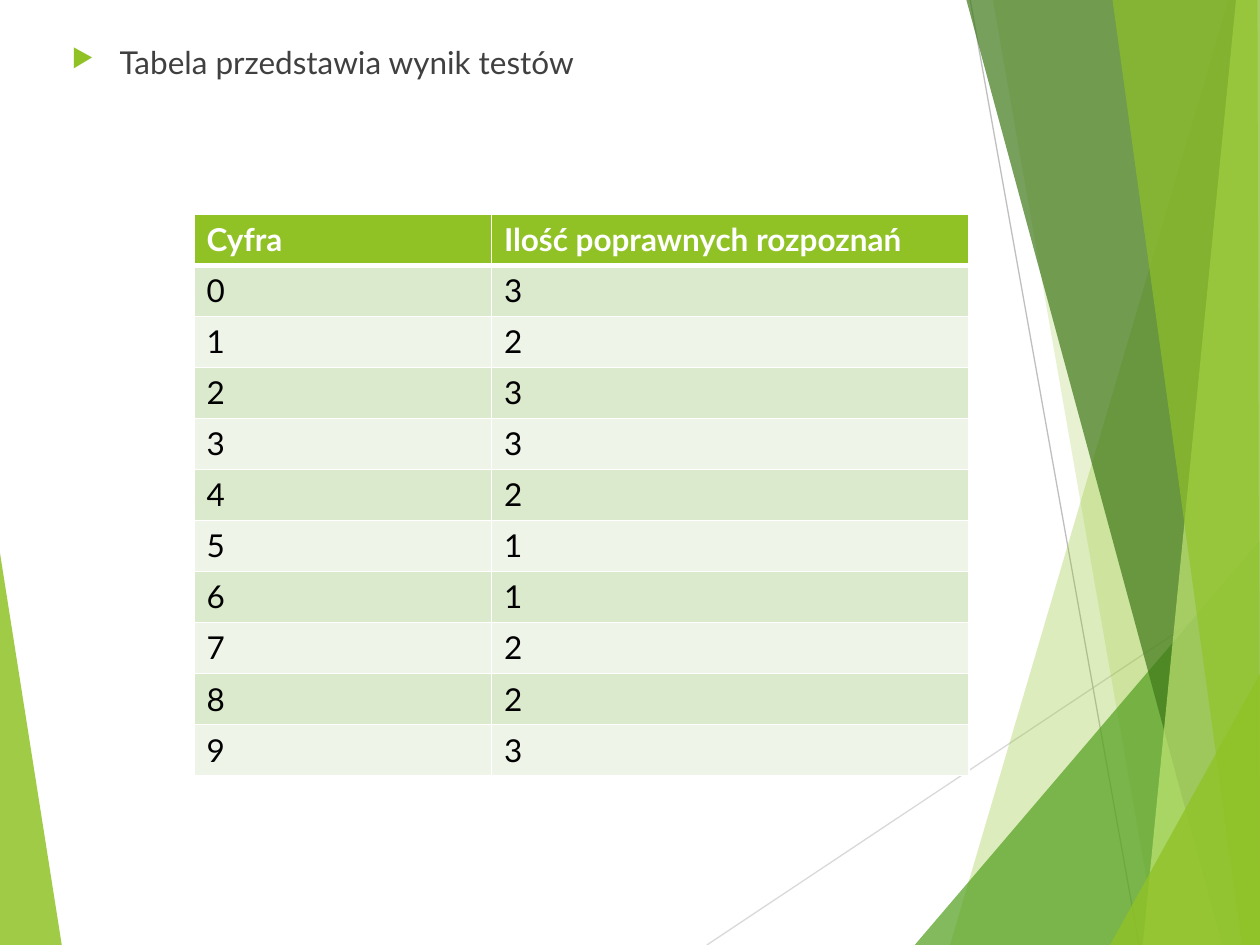
from lxml.etree import SubElement
from pptx import Presentation
from pptx.dml.color import RGBColor
from pptx.enum.shapes import MSO_CONNECTOR
from pptx.oxml.ns import qn
from pptx.util import Inches, Pt

COLORS = {
    "lime": "90C226", "green": "54A021", "forest": "3F7819", "pale": "C0E474",
    "light_line": "D9D9D9", "dark_line": "BFBFBF", "heading": "404040",
    "white": "FFFFFF", "black": "000000", "odd_row": "DBE9CD", "even_row": "EEF4E8",
}
FONT = "Lato"


def rgb(name):
    return RGBColor.from_string(COLORS[name])


def style_text(paragraph, color, bold=False):
    for run in paragraph.runs:
        run.font.name = FONT
        run.font.size = Pt(18)
        run.font.bold = bold
        run.font.color.rgb = rgb(color)


prs = Presentation()
prs.slide_width, prs.slide_height = Inches(10), Inches(7.5)
slide = prs.slides.add_slide(prs.slide_layouts[6])
shapes = slide.shapes

# Thin crossing lines behind the facets
for x1, y1, x2, y2, color in [
    (5.61, 7.5, 10.01, 4.57, "light_line"),
    (7.7, 0, 9.04, 7.5, "dark_line"),
]:
    ray = shapes.add_connector(
        MSO_CONNECTOR.STRAIGHT, Inches(x1), Inches(y1), Inches(x2), Inches(y2))
    ray.line.color.rgb = rgb(color)
    ray.line.width = Pt(0.75)
    SubElement(ray._element.spPr, qn("a:effectLst"))

# Translucent facets: colour, opacity in percent, corners
facets = [
    ("lime", 85, [(0, 4.39), (0.49, 7.5), (0, 7.5)]),
    ("lime", 30, [(9.75, 0), (7.54, 7.5), (10, 7.5), (10, 0)]),
    ("lime", 20, [(7.88, 0), (9.19, 7.5), (10, 7.5), (10, 0)]),
    ("green", 72, [(7.26, 7.5), (10, 4.29), (10, 7.5)]),
    ("forest", 70, [(7.67, 0), (9.7, 7.5), (10, 7.5), (10, 0)]),
    ("pale", 70, [(9.81, 0), (9.07, 7.5), (10, 7.5), (10, 0)]),
    ("lime", 65, [(8.83, 0), (9.86, 7.5), (10, 7.5), (9.98, 0)]),
    ("lime", 80, [(8.81, 7.5), (10, 5.35), (10, 7.5)]),
]
for color, opacity, corners in facets:
    start, *others = [(Inches(x), Inches(y)) for x, y in corners]
    builder = shapes.build_freeform(*start)
    builder.add_line_segments(others, close=True)
    facet = builder.convert_to_shape()
    facet.shadow.inherit = False
    facet.line.fill.background()
    facet.fill.solid()
    facet.fill.fore_color.rgb = rgb(color)
    tint = facet._element.spPr.find(qn("a:solidFill"))[0]
    SubElement(tint, qn("a:alpha"), val=str(opacity * 1000))

# Bulleted heading
heading = shapes.add_textbox(Inches(0.47), Inches(0.29), Inches(9.81), Inches(4.95))
heading.text_frame.word_wrap = True
bullet = heading.text_frame.paragraphs[0]
bullet.text = "Tabela przedstawia wynik testów"
bullet.space_before = Pt(10)
style_text(bullet, "heading")
props = bullet._p.get_or_add_pPr()
props.set("marL", str(Inches(0.38)))
props.set("indent", str(-Inches(0.38)))
SubElement(SubElement(props, qn("a:buClr")), qn("a:srgbClr"), val=COLORS["lime"])
SubElement(props, qn("a:buSzPct"), val="80000")
SubElement(props, qn("a:buChar"), char="▶")

# Results table: correct recognitions for each digit
correct = [3, 2, 3, 3, 2, 1, 1, 2, 2, 3]
rows = [("Cyfra", "Ilość poprawnych rozpoznań"), *enumerate(correct)]
results = shapes.add_table(
    len(rows), 2, Inches(1.54), Inches(1.7), Inches(6.15), Inches(4.46)).table
results.columns[0].width = Inches(2.36)
results.columns[1].width = Inches(3.79)
for r, values in enumerate(rows):
    header = r == 0
    fill = "lime" if header else "odd_row" if r % 2 else "even_row"
    for c, value in enumerate(values):
        cell = results.cell(r, c)
        cell.text = str(value)
        style_text(cell.text_frame.paragraphs[0],
                   "white" if header else "black", bold=header)
        # White borders, thicker around the rule under the header
        widths = {"L": 1, "R": 1, "T": 3 if r == 1 else 1, "B": 3 if header else 1}
        for side, width in widths.items():
            border = SubElement(cell._tc.get_or_add_tcPr(), qn(f"a:ln{side}"),
                                w=str(Pt(width)))
            SubElement(SubElement(border, qn("a:solidFill")), qn("a:srgbClr"),
                       val=COLORS["white"])
        cell.fill.solid()
        cell.fill.fore_color.rgb = rgb(fill)

prs.save("out.pptx")
